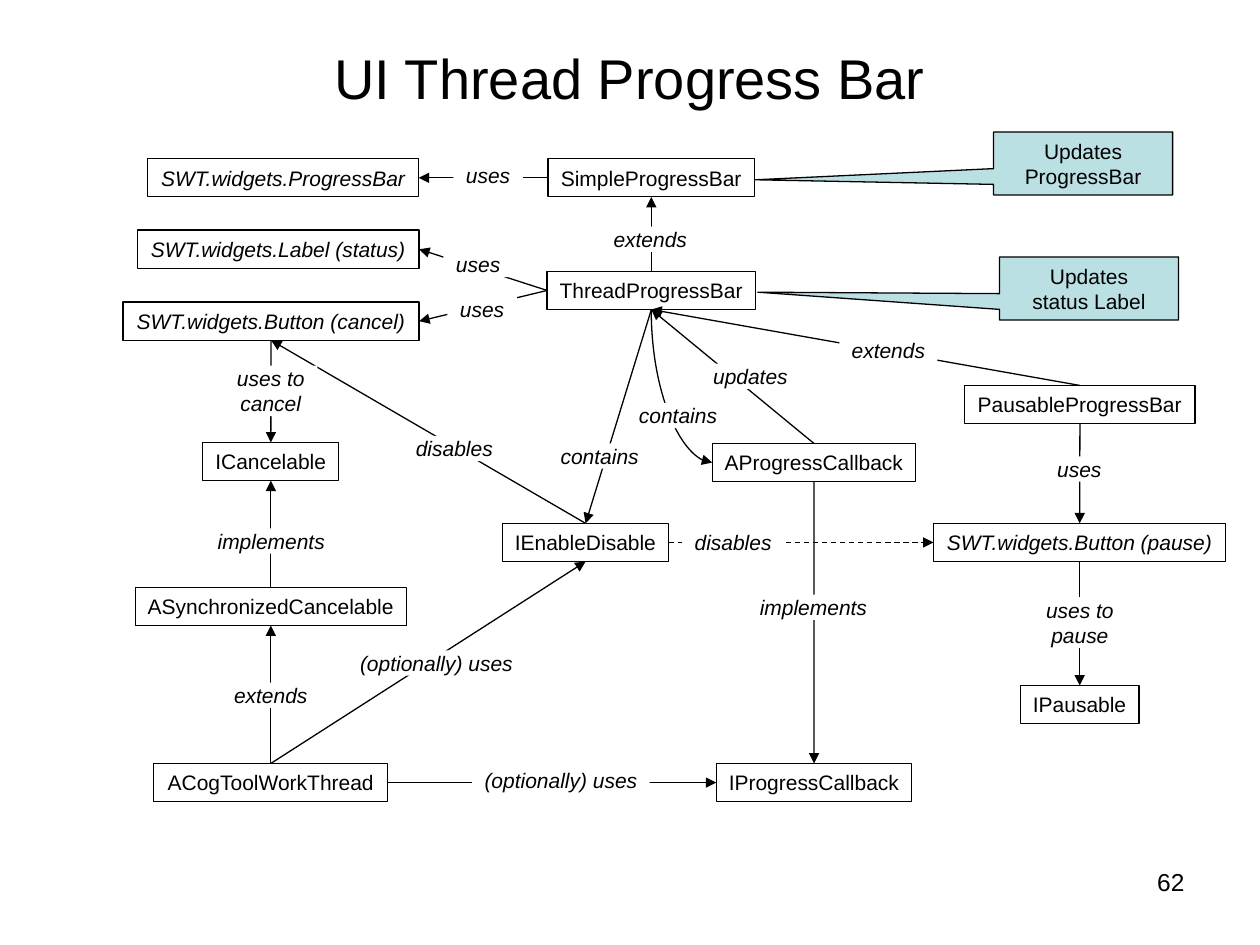
from lxml.etree import SubElement
from pptx import Presentation
from pptx.dml.color import RGBColor
from pptx.enum.dml import MSO_LINE
from pptx.enum.shapes import MSO_CONNECTOR, MSO_SHAPE
from pptx.enum.text import MSO_ANCHOR, MSO_AUTO_SIZE, PP_ALIGN
from pptx.oxml.ns import qn
from pptx.util import Cm, Pt

BLACK = RGBColor(0x00, 0x00, 0x00)
WHITE = RGBColor(0xFF, 0xFF, 0xFF)
TEAL = RGBColor(0xBB, 0xE0, 0xE3)

TOP, LEFT, BOTTOM, RIGHT = range(4)
BOX_HEIGHT = 0.77
LINE_HEIGHT = 0.51

# Classes: name, left, top, width (cm)
CLASSES = [
    ("SimpleProgressBar", 11.05, 3.2, 4.16),
    ("ThreadProgressBar", 11.03, 5.47, 4.2),
    ("PausableProgressBar", 19.45, 7.77, 4.64),
    ("AProgressCallback", 14.36, 8.94, 4.1),
    ("IProgressCallback", 14.44, 15.39, 3.94),
    ("ICancelable", 4.09, 8.92, 2.74),
    ("ASynchronizedCancelable", 2.73, 11.84, 5.46),
    ("ACogToolWorkThread", 3.1, 15.39, 4.72),
    ("IEnableDisable", 10.13, 10.55, 3.35),
    ("IPausable", 20.57, 13.82, 2.39),
    ("SWT.widgets.ProgressBar", 2.98, 3.2, 5.46),
    ("SWT.widgets.Label (status)", 2.77, 4.64, 5.68),
    ("SWT.widgets.Button (cancel)", 2.48, 6.09, 5.97),
    ("SWT.widgets.Button (pause)", 18.82, 10.55, 5.89),
]

# Relations: source, side, target, side
RELATIONS = [
    ("ACogToolWorkThread", RIGHT, "IProgressCallback", LEFT),
    ("ACogToolWorkThread", TOP, "IEnableDisable", BOTTOM),
    ("ACogToolWorkThread", TOP, "ASynchronizedCancelable", BOTTOM),
    ("ASynchronizedCancelable", TOP, "ICancelable", BOTTOM),
    ("AProgressCallback", BOTTOM, "IProgressCallback", TOP),
    ("AProgressCallback", TOP, "ThreadProgressBar", BOTTOM),
    ("SimpleProgressBar", LEFT, "SWT.widgets.ProgressBar", RIGHT),
    ("ThreadProgressBar", LEFT, "SWT.widgets.Label (status)", RIGHT),
    ("ThreadProgressBar", LEFT, "SWT.widgets.Button (cancel)", RIGHT),
    ("ThreadProgressBar", TOP, "SimpleProgressBar", BOTTOM),
    ("ThreadProgressBar", BOTTOM, "IEnableDisable", TOP),
    ("SWT.widgets.Button (cancel)", BOTTOM, "ICancelable", TOP),
    ("IEnableDisable", TOP, "SWT.widgets.Button (cancel)", BOTTOM),
    ("PausableProgressBar", TOP, "ThreadProgressBar", BOTTOM),
    ("PausableProgressBar", BOTTOM, "SWT.widgets.Button (pause)", TOP),
    ("SWT.widgets.Button (pause)", BOTTOM, "IPausable", TOP),
]

# Relation labels: text, width (cm), places as (centre x, top)
LABELS = [
    ("uses", 1.4, [(9.84, 3.28), (9.64, 5.08), (9.72, 5.97), (21.76, 9.2)]),
    ("extends", 1.98, [(13.11, 4.57), (5.46, 13.76), (17.91, 6.81)]),
    ("implements", 2.67, [(16.4, 11.99), (5.47, 10.65)]),
    ("contains", 2.08, [(13.67, 8.12), (12.09, 8.94)]),
    ("disables", 2.06, [(9.16, 8.79), (14.78, 10.67)]),
    ("updates", 2, [(15.13, 7.33)]),
    ("(optionally) uses", 3.58, [(11.31, 15.47), (8.8, 13.11)]),
    ("uses to\ncancel", 1.88, [(5.46, 7.37)]),
    ("uses to\npause", 1.88, [(21.77, 12.04)]),
]

# Callouts: text, left, top, pointer adjustments
CALLOUTS = [
    ("Updates ProgressBar", 20.03, 2.66, (-1.83, 0.26)),
    ("Updates\nstatus Label", 20.15, 5.18, (-1.85, 0.06)),
]


def write(sp, text, size=12, italic=False, align=PP_ALIGN.CENTER,
          anchor=MSO_ANCHOR.TOP, wrap=True, grow=False, pad=0.13, side=0.25):
    tf = sp.text_frame
    tf.word_wrap = wrap
    tf.auto_size = MSO_AUTO_SIZE.SHAPE_TO_FIT_TEXT if grow else MSO_AUTO_SIZE.NONE
    tf.vertical_anchor = anchor
    tf.margin_top = tf.margin_bottom = Cm(pad)
    tf.margin_left = tf.margin_right = Cm(side)
    tf.text = text
    for p in tf.paragraphs:
        p.alignment = align
        for r in p.runs:
            r.font.name = "Arial"
            r.font.size = Pt(size)
            r.font.italic = italic
            r.font.color.rgb = BLACK


def add_text(s, text, x, y, w, h, **fmt):
    write(s.shapes.add_textbox(Cm(x), Cm(y), Cm(w), Cm(h)), text, **fmt)


def add_panel(s, text, x, y, w, h, kind=MSO_SHAPE.RECTANGLE, fill=WHITE,
              outline=True, **fmt):
    sp = s.shapes.add_shape(kind, Cm(x), Cm(y), Cm(w), Cm(h))
    sp.shadow.inherit = False
    sp.fill.solid()
    sp.fill.fore_color.rgb = fill
    if outline:
        sp.line.color.rgb = BLACK
        sp.line.width = Pt(0.75)
    else:
        sp.line.fill.background()
    write(sp, text, **fmt)
    return sp


def add_link(s, source, source_side, target, target_side,
             kind=MSO_CONNECTOR.STRAIGHT, arrow="tailEnd"):
    cx = s.shapes.add_connector(kind, 0, 0, 0, 0)
    cx.begin_connect(source, source_side)
    cx.end_connect(target, target_side)
    cx.line.color.rgb = BLACK
    cx.line.width = Pt(0.75)
    SubElement(cx.line._get_or_add_ln(), qn("a:" + arrow), type="triangle")
    SubElement(cx._element.spPr, qn("a:effectLst"))
    return cx


def main():
    prs = Presentation()
    prs.slide_width, prs.slide_height = Cm(25.4), Cm(19.05)
    s = prs.slides.add_slide(prs.slide_layouts[6])

    add_text(s, "UI Thread Progress Bar", 1.27, 0.76, 22.86, 1.57,
             size=32, anchor=MSO_ANCHOR.MIDDLE)

    # Class boxes, toolkit widgets in italics
    boxes = {name: add_panel(s, name, x, y, w, BOX_HEIGHT, wrap=False,
                             side=0.1, italic=name.startswith("SWT"))
             for name, x, y, w in CLASSES}

    # Relations
    for source, source_side, target, target_side in RELATIONS:
        add_link(s, boxes[source], source_side, boxes[target], target_side)
    dashed = add_link(s, boxes["IEnableDisable"], RIGHT,
                      boxes["SWT.widgets.Button (pause)"], LEFT)
    dashed.line.dash_style = MSO_LINE.DASH

    # Curved relation, drawn from the callback so that its arrow is at the start
    curve = add_link(s, boxes["AProgressCallback"], LEFT,
                     boxes["ThreadProgressBar"], BOTTOM,
                     kind=MSO_CONNECTOR.CURVE, arrow="headEnd")
    curve._element.spPr.find(qn("a:prstGeom")).set("prst", "curvedConnector2")

    # Labels over the lines
    for text, w, places in LABELS:
        h = LINE_HEIGHT * len(text.splitlines())
        for centre, y in places:
            add_panel(s, text, centre - w / 2, y, w, h, outline=False,
                      italic=True, wrap=False, pad=0, side=0.1)

    # Callouts
    for text, x, y, pointer in CALLOUTS:
        sp = add_panel(s, text, x, y, 3.61, 1.27, fill=TEAL, grow=True,
                       kind=MSO_SHAPE.RECTANGULAR_CALLOUT)
        sp.adjustments[0], sp.adjustments[1] = pointer

    # Slide number
    add_text(s, "62", 19.69, 17.35, 4.44, 1.32, size=14, align=PP_ALIGN.RIGHT)

    prs.save("out.pptx")


if __name__ == "__main__":
    main()
